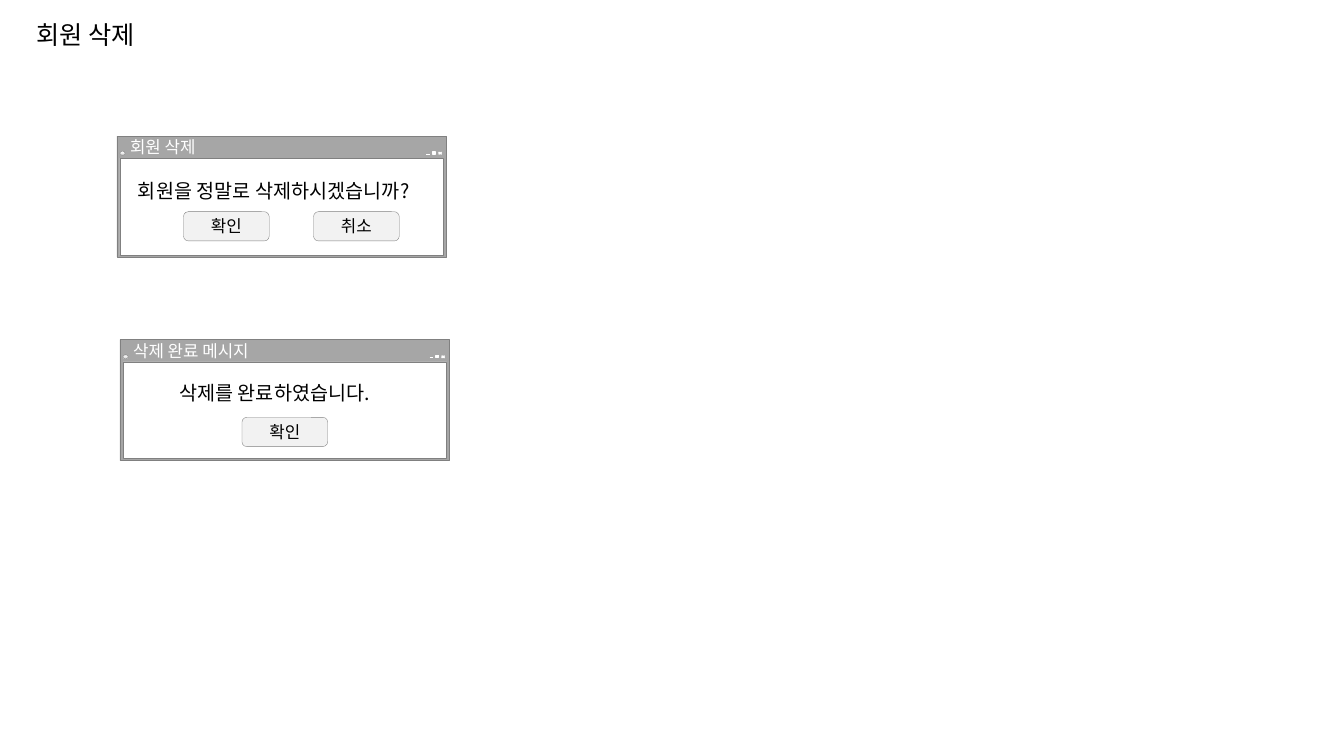
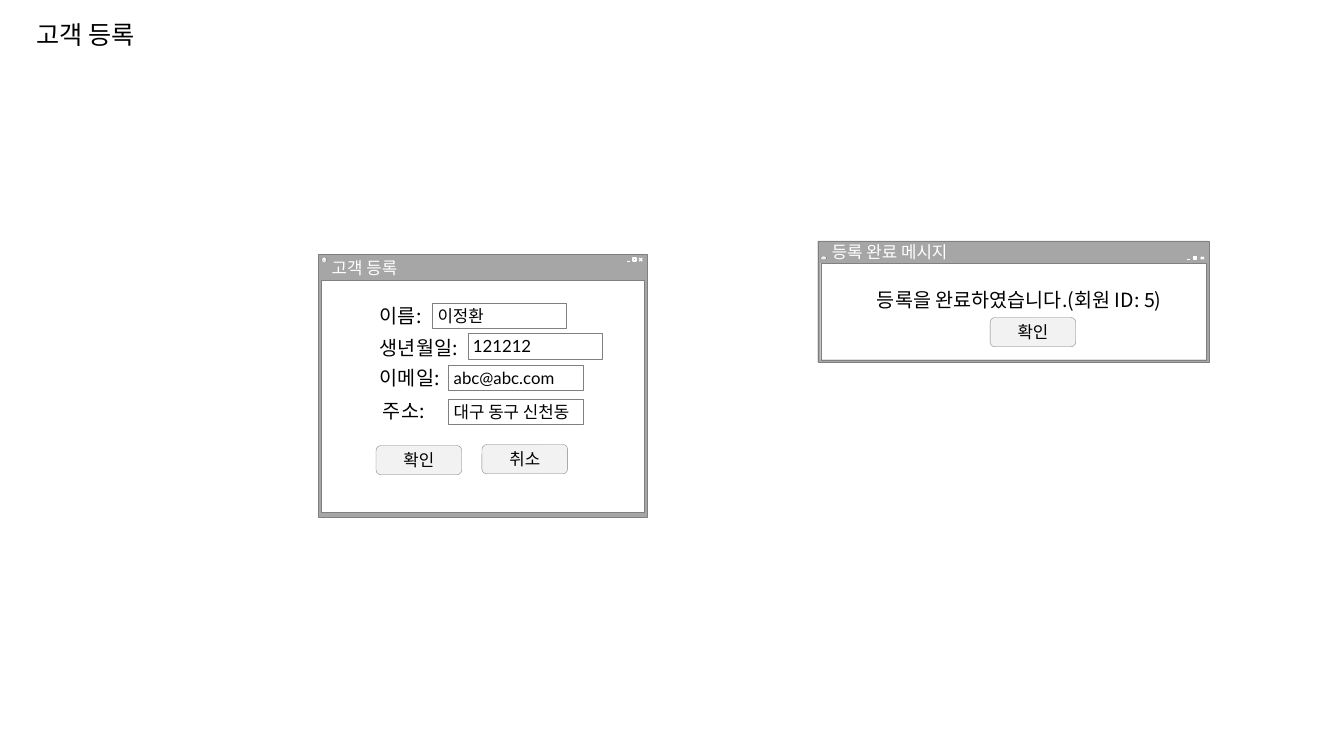
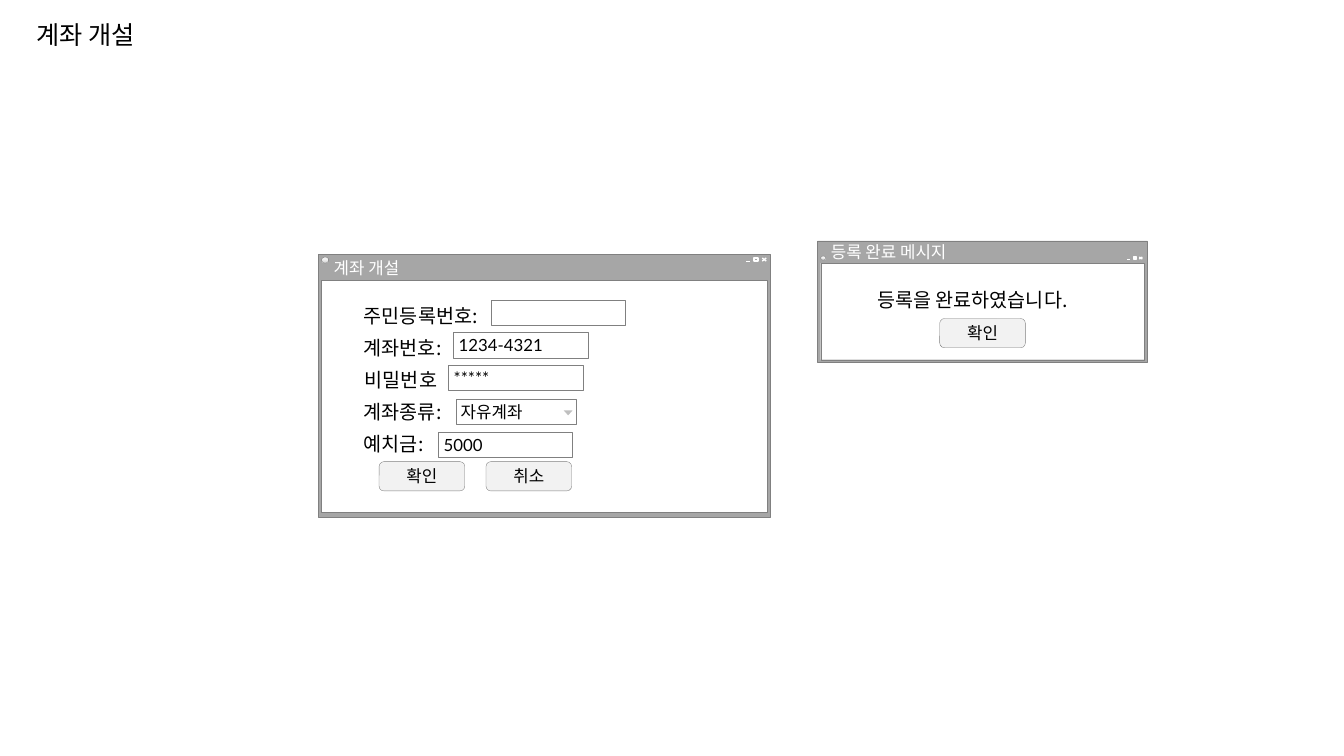
from lxml.etree import SubElement
from pptx import Presentation
from pptx.dml.color import RGBColor
from pptx.enum.shapes import MSO_CONNECTOR, MSO_SHAPE
from pptx.enum.text import MSO_ANCHOR, MSO_AUTO_SIZE, PP_ALIGN
from pptx.oxml.ns import qn
from pptx.util import Emu, Pt

PX = 9144  # 100 px to the inch
SANS, LATO = "Noto Sans CJK KR", "Lato"
BLACK, WHITE, FRAME, EDGE = "000000", "FFFFFF", "A6A6A6", "808080"
BUTTON, SHADE, ARROW = "F2F2F2", "D9D9D9", "BFBFBF"
BUTTON_SIZE = (85, 29)
FIELD_W, FIELD_H = 133, 25
SIDE = 3

# Title bar height, bottom border, title offset, icon and control top and height
COMPACT = dict(bar=22, base=2, title=-1, icon=(15, 4), control=(16, 2))
FORM = dict(bar=26, base=5, title=2, icon=(3, 6), control=(4, 3))

# windows: style, title, title width, box
# texts: text, x, y, width
# fields: value, x, y
# buttons: caption, x, y
SLIDES = [
    dict(
        title="회원 삭제",
        windows=[
            (COMPACT, "회원 삭제", 87, (116, 135, 327, 120)),
            (COMPACT, "삭제 완료 메시지", 142, (119, 337, 327, 120)),
        ],
        texts=[
            ("회원을 정말로 삭제하시겠습니까?", 127, 173, 318),
            ("삭제를 완료하였습니다.", 168, 373, 228),
        ],
        buttons=[("확인", 182, 210), ("취소", 311, 210), ("확인", 240, 414)],
    ),
    dict(
        title="고객 등록",
        windows=[
            (FORM, "고객 등록", 87, (316, 252, 326, 261)),
            (COMPACT, "등록 완료 메시지", 169, (811, 239, 388, 120)),
        ],
        texts=[
            ("이름:", 367, 297, 64),
            ("생년월일:", 367, 328, 103),
            ("이메일:", 367, 358, 83),
            ("주소:", 370, 391, 71),
            ("등록을 완료하였습니다.(회원 ID: 5)", 860, 281, 327),
        ],
        fields=[
            ("이정환", 429, 301),
            ("121212", 464, 331),
            ("abc@abc.com", 445, 362),
            ("대구 동구 신천동", 445, 396),
        ],
        buttons=[("확인", 373, 442), ("취소", 478, 441), ("확인", 982, 315)],
    ),
    dict(
        title="계좌 개설",
        windows=[
            (FORM, "계좌 개설", 120, (316, 252, 448, 261)),
            (COMPACT, "등록 완료 메시지", 142, (811, 239, 327, 120)),
        ],
        texts=[
            ("주민등록번호:", 351, 297, 142),
            ("계좌번호:", 351, 328, 103),
            ("비밀번호", 352, 360, 99),
            ("계좌종류:", 351, 392, 110),
            ("예치금:", 351, 424, 90),
            ("등록을 완료하였습니다.", 860, 281, 228),
        ],
        fields=[
            ("", 487, 298),
            ("1234-4321", 450, 330),
            ("*****", 445, 362),
            ("5000", 435, 429),
        ],
        dropdowns=[("자유계좌", 452, 396, 120)],
        buttons=[("확인", 376, 458), ("취소", 482, 458), ("확인", 932, 316)],
    ),
]


def px(*values):
    return [Emu(round(v * PX)) for v in values]


def rgb(color):
    return RGBColor.from_string(color)


def write(sp, text, size, font, color=BLACK, insets=(10, 5, 10, 5),
          align=PP_ALIGN.LEFT, anchor=MSO_ANCHOR.MIDDLE, wrap=False):
    tf = sp.text_frame
    tf.word_wrap = wrap
    tf.vertical_anchor = anchor
    tf.margin_left, tf.margin_top, tf.margin_right, tf.margin_bottom = px(*insets)
    tf.text = text
    p = tf.paragraphs[0]
    p.alignment = align
    for r in p.runs:
        r.font.size, r.font.name = Pt(size), font
        r.font.color.rgb = rgb(color)
        SubElement(r.font._element, qn("a:ea"), typeface=SANS)


def add_shape(shapes, kind, box, fill=None, line=EDGE, width=0.25):
    sp = shapes.add_shape(kind, *px(*box))
    sp.shadow.inherit = False
    if fill:
        sp.fill.solid()
        sp.fill.fore_color.rgb = rgb(fill)
    else:
        sp.fill.background()
    if line:
        sp.line.color.rgb = rgb(line)
        sp.line.width = Pt(width)
    else:
        sp.line.fill.background()
    return sp


def add_label(shapes, text, box, size, font=SANS, **style):
    sp = shapes.add_textbox(*px(*box))
    write(sp, text, size, font, **style)
    sp.text_frame.auto_size = MSO_AUTO_SIZE.SHAPE_TO_FIT_TEXT


def add_line(shapes, x1, y1, x2, y2, width):
    line = shapes.add_connector(MSO_CONNECTOR.STRAIGHT, *px(x1, y1, x2, y2))
    line.line.color.rgb = rgb(WHITE)
    line.line.width = Pt(width)
    SubElement(line._element.spPr, qn("a:effectLst"))


def add_controls(shapes, right, top, size, step):
    """Close, maximise and minimise marks, set from the right."""
    height, width = size, step // 2
    close, maximise, minimise = (right - 8 - i * step for i in range(3))
    bottom = top + height
    add_line(shapes, close, top, close + width, bottom, 1)
    add_line(shapes, close, bottom, close + width, top, 1)
    add_line(shapes, maximise, top, maximise + width, top, 0.5)
    add_shape(shapes, MSO_SHAPE.RECTANGLE, (maximise, top, width, height),
              line=WHITE, width=1)
    add_line(shapes, minimise, bottom, minimise + width, bottom, 0.5)


def add_window(s, style, title, title_w, box):
    x, y, w, h = box
    bar = style["bar"]
    shapes = s.shapes.add_group_shape().shapes
    add_shape(shapes, MSO_SHAPE.RECTANGLE, box, FRAME)
    add_shape(shapes, MSO_SHAPE.RECTANGLE,
              (x + SIDE, y + bar, w - 2 * SIDE, h - bar - style["base"]), WHITE)
    icon_w = round(w / 65)
    add_label(shapes, title, (x + SIDE + icon_w, y + style["title"], title_w, 25),
              12, LATO, color=WHITE, insets=(5, 2, 10, 3))
    top, size = style["control"]
    add_controls(shapes, x + w, y + top, size, round(w / 57))
    top, size = style["icon"]
    icon = add_shape(shapes, MSO_SHAPE.OVAL, (x + SIDE, y + top, icon_w, size))
    icon.fill.gradient()
    icon.fill.gradient_angle = 270
    for stop, color, place in zip(icon.fill.gradient_stops, (BUTTON, SHADE), (0.36, 0.91)):
        stop.color.rgb = rgb(color)
        stop.position = place


def add_field(shapes, value, x, y, w=FIELD_W):
    sp = add_shape(shapes, MSO_SHAPE.RECTANGLE, (x, y, w, FIELD_H), WHITE)
    if value:
        write(sp, value, 12, LATO, insets=(5, 2, 5, 2))


def add_dropdown(s, value, x, y, w):
    shapes = s.shapes.add_group_shape().shapes
    add_field(shapes, value, x, y, w)
    arrow = add_shape(shapes, MSO_SHAPE.ISOSCELES_TRIANGLE,
                      (x + w - 13, y + 11, 9, 5), ARROW, line=None)
    arrow.rotation = 180


def add_button(s, caption, x, y):
    sp = add_shape(s.shapes, MSO_SHAPE.ROUNDED_RECTANGLE, (x, y, *BUTTON_SIZE), BUTTON)
    write(sp, caption, 12, LATO, insets=(10, 0, 10, 1), align=PP_ALIGN.CENTER, wrap=True)


def build_slide(prs, content):
    s = prs.slides.add_slide(prs.slide_layouts[6])
    add_label(s.shapes, content["title"], (26, 14, 130, 40), 18, anchor=MSO_ANCHOR.TOP)
    for window in content["windows"]:
        add_window(s, *window)
    for text, x, y, w in content["texts"]:
        add_label(s.shapes, text, (x, y, w, 34), 14, anchor=MSO_ANCHOR.TOP)
    for field in content.get("fields", []):
        add_field(s.shapes, *field)
    for dropdown in content.get("dropdowns", []):
        add_dropdown(s, *dropdown)
    for button in content["buttons"]:
        add_button(s, *button)


def main():
    prs = Presentation()
    prs.slide_width, prs.slide_height = px(1333, 750)
    for content in SLIDES:
        build_slide(prs, content)
    prs.save("out.pptx")


if __name__ == "__main__":
    main()
